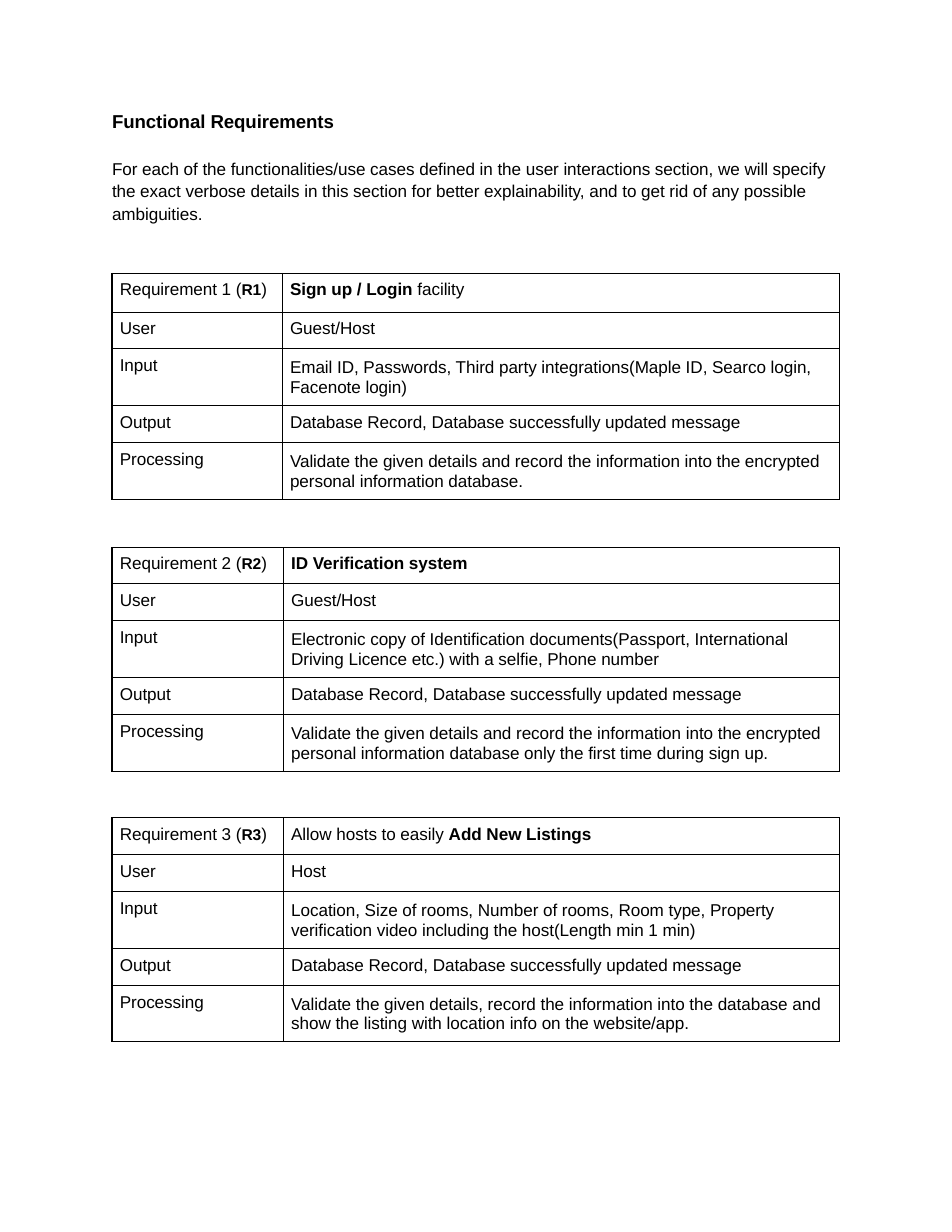
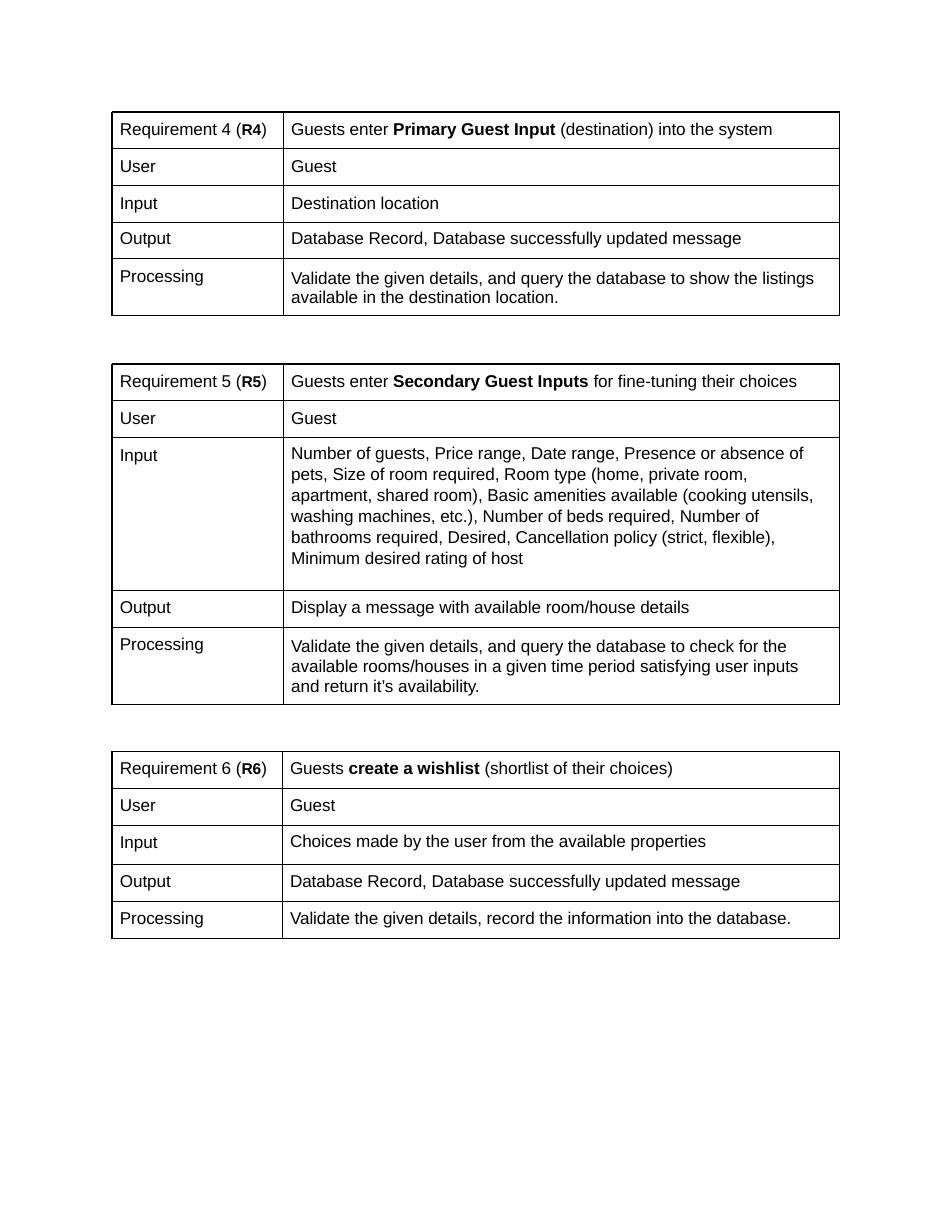
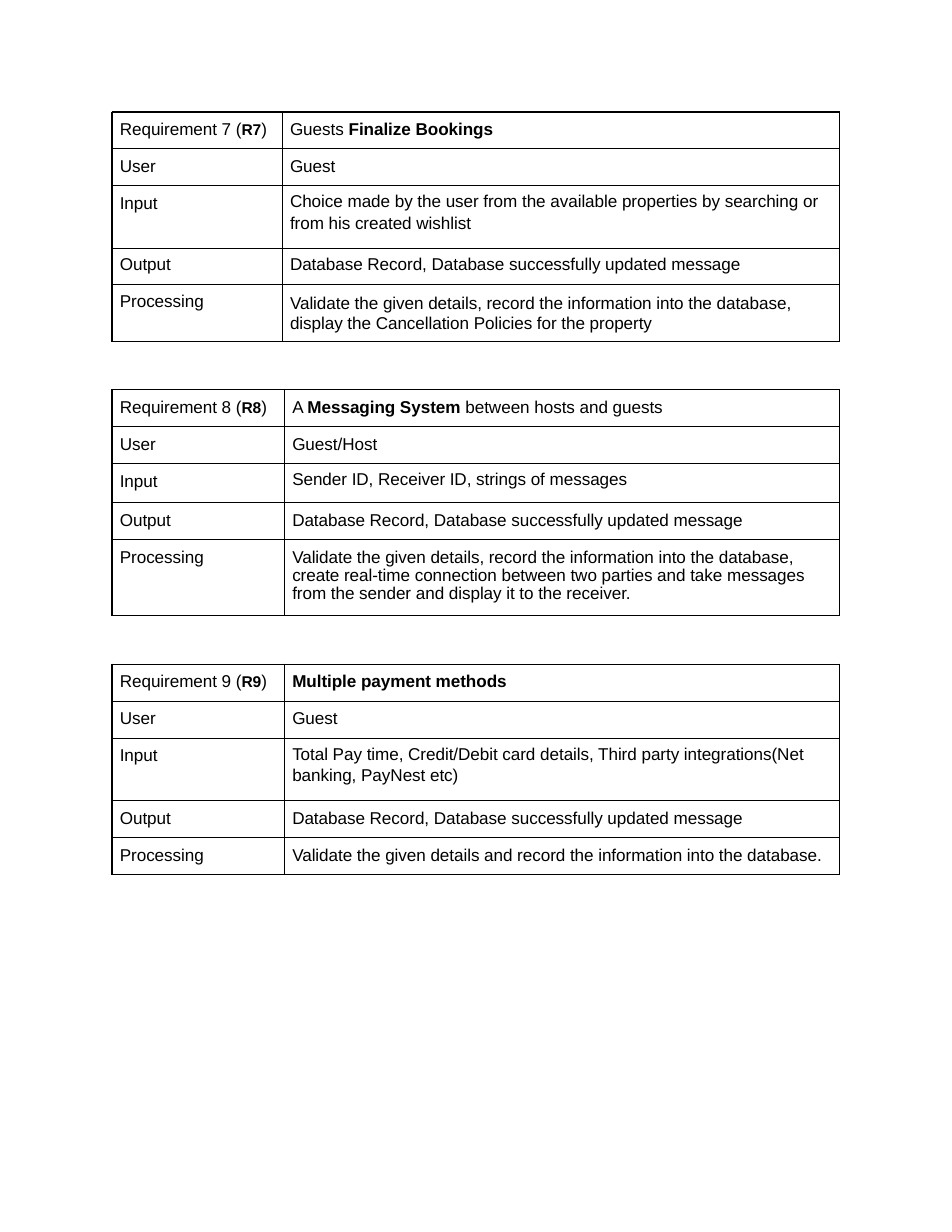
import lxml.etree
import pptx
import pptx.dml.color
import pptx.enum.text
import pptx.oxml.ns
import pptx.util

Inches = pptx.util.Inches
Pt = pptx.util.Pt

BLACK = pptx.dml.color.RGBColor(0x00, 0x00, 0x00)
FONT = "Arial"
TEXT_SIZE = 11
TABLE_LEFT = 1
TABLE_WIDTH = 6.5
ROW_LABELS = ["User", "Input", "Output", "Processing"]
LABEL_TOP = 5.1

# Row height in inches: top margin in points and line spacing of the value cell
ROW_STYLES = {
    0.32: (4.3, 1.0),
    0.33: (5.1, 1.0),
    0.35: (4.3, 1.0),
    0.5: (6.5, Pt(12)),
    0.51: (5.8, Pt(12.8)),
    0.56: (2.5, 1.14),
    0.68: (6, 0.94),
    0.69: (5.8, Pt(12.8)),
    1.36: (3, 1.1),
}

RECORD_UPDATED = "Database Record, Database successfully updated message"

# Each slide: tables as (top, label column width, row heights, values); *bold* is marked by asterisks
SLIDES = [
    [
        (2.44, 1.52, [0.35, 0.32, 0.51, 0.33, 0.51], [
            "*Sign up / Login* facility",
            "Guest/Host",
            "Email ID, Passwords, Third party integrations(Maple ID, Searco login, Facenote login)",
            RECORD_UPDATED,
            "Validate the given details and record the information into the encrypted "
            "personal information database.",
        ]),
        (4.89, 1.53, [0.32, 0.33, 0.51, 0.33, 0.51], [
            "*ID Verification system*",
            "Guest/Host",
            "Electronic copy of Identification documents(Passport, International "
            "Driving Licence etc.) with a selfie, Phone number",
            RECORD_UPDATED,
            "Validate the given details and record the information into the encrypted "
            "personal information database only the first time during sign up.",
        ]),
        (7.3, 1.53, [0.33, 0.33, 0.51, 0.33, 0.5], [
            "Allow hosts to easily *Add New Listings*",
            "Host",
            "Location, Size of rooms, Number of rooms, Room type, Property "
            "verification video including the host(Length min 1 min)",
            RECORD_UPDATED,
            "Validate the given details, record the information into the database and "
            "show the listing with location info on the website/app.",
        ]),
    ],
    [
        (1, 1.53, [0.33, 0.33, 0.33, 0.32, 0.51], [
            "Guests enter *Primary Guest Input* (destination) into the system",
            "Guest",
            "Destination location",
            RECORD_UPDATED,
            "Validate the given details, and query the database to show the listings "
            "available in the destination location.",
        ]),
        (3.25, 1.53, [0.33, 0.33, 1.36, 0.33, 0.69], [
            "Guests enter *Secondary Guest Inputs* for fine-tuning their choices",
            "Guest",
            "Number of guests, Price range, Date range, Presence or absence of "
            "pets, Size of room required, Room type (home, private room, "
            "apartment, shared room), Basic amenities available (cooking utensils, "
            "washing machines, etc.), Number of beds required, Number of "
            "bathrooms required, Desired, Cancellation policy (strict, flexible), "
            "Minimum desired rating of host",
            "Display a message with available room/house details",
            "Validate the given details, and query the database to check for the "
            "available rooms/houses in a given time period satisfying user inputs "
            "and return it’s availability.",
        ]),
        (6.71, 1.52, [0.33, 0.33, 0.35, 0.33, 0.33], [
            "Guests *create a wishlist* (shortlist of their choices)",
            "Guest",
            "Choices made by the user from the available properties",
            RECORD_UPDATED,
            "Validate the given details, record the information into the database.",
        ]),
    ],
    [
        (1, 1.52, [0.33, 0.33, 0.56, 0.32, 0.51], [
            "Guests *Finalize Bookings*",
            "Guest",
            "Choice made by the user from the available properties by searching or "
            "from his created wishlist",
            RECORD_UPDATED,
            "Validate the given details, record the information into the database, "
            "display the Cancellation Policies for the property",
        ]),
        (3.48, 1.54, [0.33, 0.33, 0.35, 0.33, 0.68], [
            "A *Messaging System* between hosts and guests",
            "Guest/Host",
            "Sender ID, Receiver ID, strings of messages",
            RECORD_UPDATED,
            "Validate the given details, record the information into the database, "
            "create real-time connection between two parties and take messages "
            "from the sender and display it to the receiver.",
        ]),
        (5.93, 1.54, [0.33, 0.33, 0.56, 0.33, 0.33], [
            "*Multiple payment methods*",
            "Guest",
            "Total Pay time, Credit/Debit card details, Third party integrations(Net "
            "banking, PayNest etc)",
            RECORD_UPDATED,
            "Validate the given details and record the information into the database.",
        ]),
    ],
]


def write_text(text_frame, text, size=TEXT_SIZE, bold_size=None, line_spacing=1.0):
    """Fill the first paragraph, setting the parts between asterisks in bold."""
    paragraph = text_frame.paragraphs[0]
    paragraph.alignment = pptx.enum.text.PP_ALIGN.LEFT
    paragraph.line_spacing = line_spacing
    paragraph.space_before = Pt(0)
    paragraph.font.name = FONT
    paragraph.font.size = Pt(size)
    paragraph.font.color.rgb = BLACK
    for index, part in enumerate(text.split("*")):
        if not part:
            continue
        run = paragraph.add_run()
        run.text = part
        run.font.bold = index % 2 == 1
        if run.font.bold and bold_size:
            run.font.size = Pt(bold_size)
        run._r.get_or_add_rPr().set("spc", "-5")
    return paragraph


def format_cell(cell, top_margin):
    """Set margins, remove the fill and draw thin black borders."""
    cell.margin_left = Inches(0.07)
    cell.margin_right = Inches(0.12)
    cell.margin_bottom = 0
    cell.margin_top = Pt(top_margin)
    cell.fill.background()
    properties = cell._tc.get_or_add_tcPr()
    qn = pptx.oxml.ns.qn
    for position, side in enumerate(["a:lnL", "a:lnR", "a:lnT", "a:lnB"]):
        line = lxml.etree.Element(qn(side), w=str(Pt(0.75)))
        fill = lxml.etree.SubElement(line, qn("a:solidFill"))
        lxml.etree.SubElement(fill, qn("a:srgbClr"), val=str(BLACK))
        properties.insert(position, line)


presentation = pptx.Presentation()
presentation.slide_width = Inches(8.5)
presentation.slide_height = Inches(11)
content_layout = presentation.slide_layouts[1]
blank_layout = presentation.slide_layouts[6]

requirement = 0
for slide_index, tables in enumerate(SLIDES):
    slide = presentation.slides.add_slide(blank_layout if slide_index else content_layout)

    if slide_index == 0:
        title, introduction = slide.placeholders
        for shape, top, height in [(title, 0.98, 0.25), (introduction, 1.39, 0.62)]:
            shape.left, shape.top = Inches(1), Inches(top)
            shape.width, shape.height = Inches(6.44), Inches(height)
            text_frame = shape.text_frame
            text_frame.margin_left = text_frame.margin_right = 0
            text_frame.margin_top = text_frame.margin_bottom = 0
            text_frame.word_wrap = True
            text_frame.auto_size = pptx.enum.text.MSO_AUTO_SIZE.NONE
            text_frame.vertical_anchor = pptx.enum.text.MSO_ANCHOR.TOP
        write_text(title.text_frame, "*Functional Requirements*", size=12)
        paragraph = write_text(
            introduction.text_frame,
            "For each of the functionalities/use cases defined in the user interactions section, "
            "we will specify the exact verbose details in this section for better explainability, "
            "and to get rid of any possible ambiguities.",
            line_spacing=1.11,
        )
        properties = paragraph._p.get_or_add_pPr()
        properties.set("marL", "0")
        properties.set("indent", "0")
        bullet_none = lxml.etree.Element(pptx.oxml.ns.qn("a:buNone"))
        properties.find(pptx.oxml.ns.qn("a:defRPr")).addprevious(bullet_none)

    for top, label_width, heights, values in tables:
        requirement += 1
        labels = [f"Requirement {requirement} (*R{requirement}*)"] + ROW_LABELS
        frame = slide.shapes.add_table(
            len(labels), 2, Inches(TABLE_LEFT), Inches(top), Inches(TABLE_WIDTH), Inches(sum(heights))
        )
        table = frame.table
        table.first_row = table.horz_banding = False
        table.columns[0].width = Inches(label_width)
        table.columns[1].width = Inches(TABLE_WIDTH - label_width)

        for row, (label, value, height) in enumerate(zip(labels, values, heights)):
            table.rows[row].height = Inches(height)
            value_top, line_spacing = ROW_STYLES[height]
            label_top = value_top if row == 0 or height == 0.32 else LABEL_TOP
            label_cell, value_cell = table.cell(row, 0), table.cell(row, 1)
            format_cell(label_cell, label_top)
            format_cell(value_cell, value_top)
            write_text(label_cell.text_frame, label, bold_size=10)
            write_text(value_cell.text_frame, value, line_spacing=line_spacing)

presentation.save("out.pptx")
